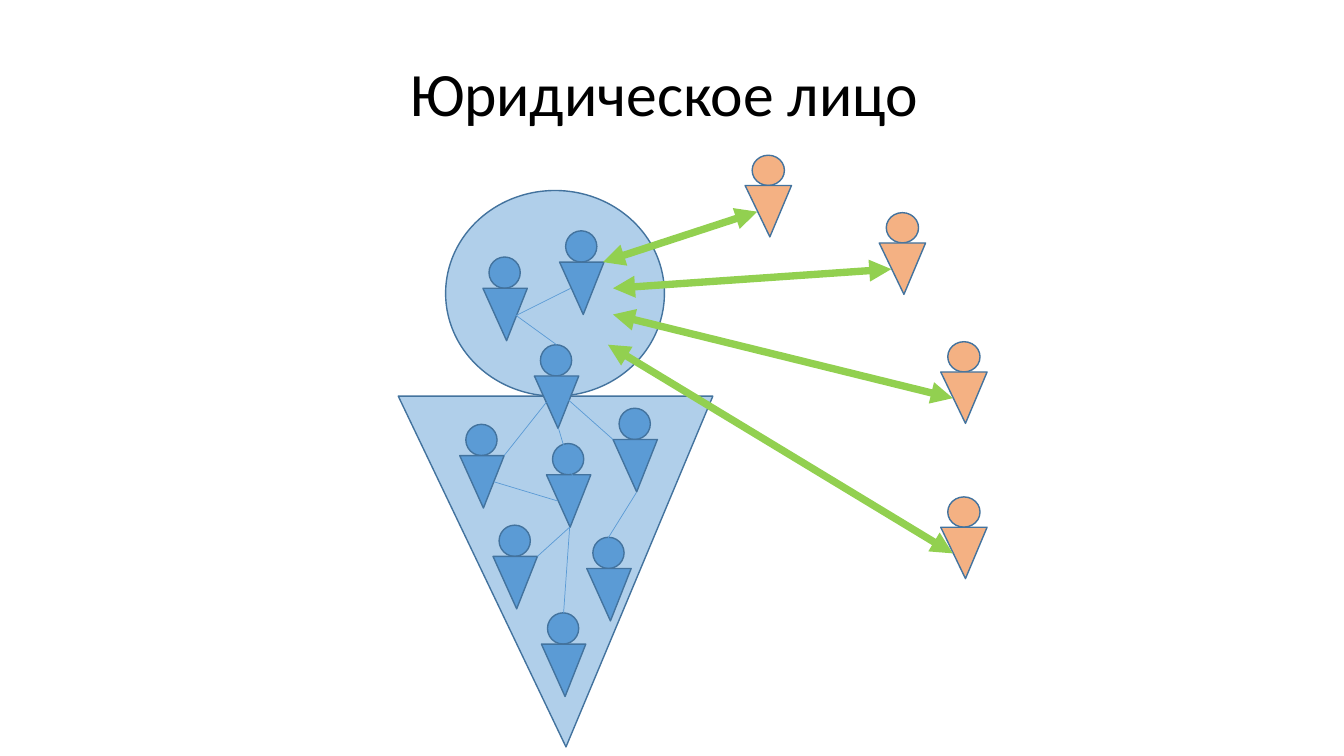
"""Builds the slide that shows a legal entity as a person made of people."""
from lxml.etree import SubElement
from pptx import Presentation
from pptx.dml.color import RGBColor
from pptx.enum.shapes import MSO_CONNECTOR, MSO_SHAPE
from pptx.enum.text import MSO_ANCHOR, MSO_AUTO_SIZE, PP_ALIGN
from pptx.oxml.ns import qn
from pptx.util import Pt

PX = 9144
COLORS = {
    "member": "5B9BD5",
    "outsider": "F4B183",
    "outline": "43739E",
    "relation": "92D050",
    "title": "000000",
}
RGB = {role: RGBColor.from_string(value) for role, value in COLORS.items()}


def add_person(slide, role, head, body, opacity=100):
    person = slide.shapes.add_group_shape()
    for preset, box in ((MSO_SHAPE.OVAL, head), (MSO_SHAPE.ISOSCELES_TRIANGLE, body)):
        part = person.shapes.add_shape(preset, *(n * PX for n in box))
        part.shadow.inherit = False
        part.fill.solid()
        part.fill.fore_color.rgb = RGB[role]
        part.line.color.rgb = RGB["outline"]
        part.line.width = Pt(1)
        if preset == MSO_SHAPE.ISOSCELES_TRIANGLE:
            part.rotation = 180
            part.adjustments[0] = 0.467
        if opacity < 100:
            tint = part._element.spPr.find(qn("a:solidFill")).find(qn("a:srgbClr"))
            SubElement(tint, qn("a:alpha"), val=str(opacity * 1000))


def add_link(slide, ends, role, width, arrows=()):
    link = slide.shapes.add_connector(MSO_CONNECTOR.STRAIGHT, *(n * PX for n in ends))
    link.line.color.rgb = RGB[role]
    link.line.width = Pt(width)
    for arrow in arrows:
        SubElement(link.line._get_or_add_ln(), qn(arrow), type="triangle")
    SubElement(link._element.spPr, qn("a:effectLst"))


prs = Presentation()
prs.slide_width, prs.slide_height = 1333 * PX, 750 * PX
slide = prs.slides.add_slide(prs.slide_layouts[6])

add_person(slide, "member", (442, 189, 217, 204), (395, 393, 312, 348), opacity=48)

title = slide.shapes.add_textbox(228 * PX, 23 * PX, 862 * PX, 145 * PX).text_frame
heading = title.paragraphs[0]
heading.text = "Юридическое лицо"
title_format = {
    title: {
        "word_wrap": True,
        "auto_size": MSO_AUTO_SIZE.NONE,
        "vertical_anchor": MSO_ANCHOR.MIDDLE,
    },
    heading: {"alignment": PP_ALIGN.CENTER, "line_spacing": 0.9},
    heading.font: {"name": "Calibri", "size": Pt(44)},
}
for target, values in title_format.items():
    for attribute, value in values.items():
        setattr(target, attribute, value)
heading.font.color.rgb = RGB["title"]

members = [
    (489, 552), (456, 452), (530, 373), (608, 436), (537, 639),
    (542, 471), (582, 564), (479, 286), (555, 260),
]
for x, y in members:
    add_person(slide, "member", (x + 6, y - 31, 31, 31), (x, y, 44, 52))

inner_links = [
    (512, 313, 566, 286), (512, 313, 552, 342), (555, 389, 608, 436),
    (500, 452, 542, 399), (554, 425, 575, 497), (603, 534, 631, 489),
    (559, 608, 565, 523), (533, 552, 565, 523), (553, 497, 490, 478),
]
for ends in inner_links:
    add_link(slide, ends, "member", 0.5)

outsiders = [(933, 523), (872, 241), (933, 369), (739, 184)]
for x, y in outsiders:
    add_person(slide, "outsider", (x + 7, y - 30, 32, 30), (x, y, 46, 51))

outer_relations = [
    (751, 210, 598, 260), (884, 267, 608, 286),
    (945, 395, 608, 312), (945, 549, 603, 342),
]
for ends in outer_relations:
    add_link(slide, ends, "relation", 5.25, arrows=("a:headEnd", "a:tailEnd"))

prs.save("out.pptx")
